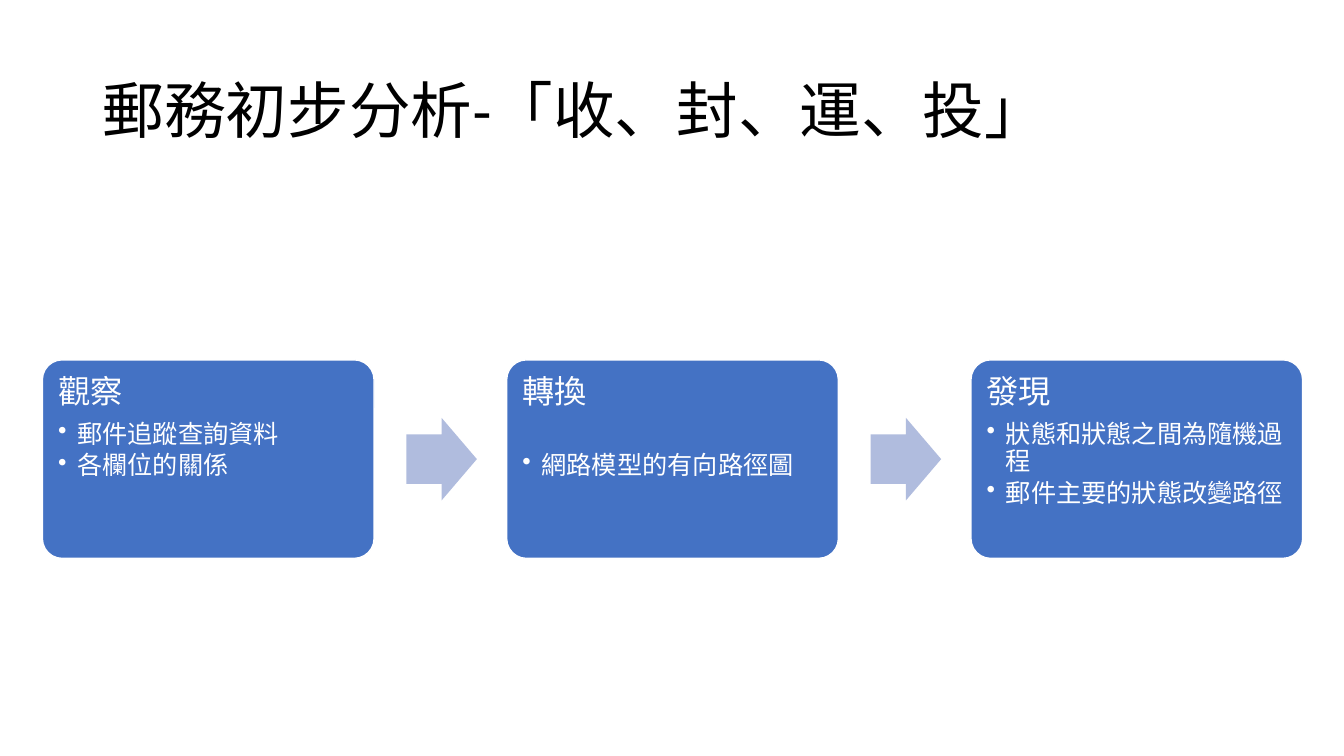
from lxml import etree
from pptx import Presentation
from pptx.dml.color import RGBColor
from pptx.enum import shapes, text
from pptx.oxml.ns import qn
from pptx.util import Inches, Pt

# Content
TITLE = "郵務初步分析-「收、封、運、投」"
STEPS = [  # heading, bullets, points between heading and bullets
    ("觀察", ["郵件追蹤查詢資料", "各欄位的關係"], 8),
    ("轉換", ["網路模型的有向路徑圖"], 30),
    ("發現", ["狀態和狀態之間為隨機過程", "郵件主要的狀態改變路徑"], 8),
]
COLORS = {"title": "000000", "card": "4472C4", "arrow": "B0BCDE", "white": "FFFFFF"}
FONT = "Calibri"

# Layout in inches
CARD_LEFT, CARD_TOP, CARD_W, CARD_H = 0.42, 3.57, 3.29, 1.97
STEP_PITCH = 4.605
ARROW_GAP, ARROW_W, ARROW_H = 0.32, 0.7, 0.82
INDENT = Inches(0.19)


def color(name):
    return RGBColor.from_string(COLORS[name])


def add_filled(kind, left, top, width, height, fill, adjustments):
    shape = slide.shapes.add_shape(
        kind, Inches(left), Inches(top), Inches(width), Inches(height))
    shape.shadow.inherit = False
    shape.fill.solid()
    shape.fill.fore_color.rgb = color(fill)
    shape.line.fill.background()
    for i, value in enumerate(adjustments):
        shape.adjustments[i] = value
    return shape


def write(paragraph, words, size, ink, space_after=0):
    paragraph.text = words
    paragraph.alignment = text.PP_ALIGN.LEFT
    paragraph.line_spacing = 0.9
    paragraph.space_after = Pt(space_after)
    for run in paragraph.runs:
        run.font.size = Pt(size)
        run.font.name = FONT
        run.font.color.rgb = color(ink)


def add_bullet(paragraph):
    props = paragraph._p.get_or_add_pPr()
    props.set("marL", str(INDENT))
    props.set("indent", str(-INDENT))
    etree.SubElement(props, qn("a:buChar")).set("char", "•")


prs = Presentation()
prs.slide_width, prs.slide_height = Inches(13.33), Inches(7.5)
slide = prs.slides.add_slide(prs.slide_layouts[6])

# Title
title = slide.shapes.add_textbox(
    Inches(0.92), Inches(0.4), Inches(11.5), Inches(1.45)).text_frame
title.word_wrap = True
title.vertical_anchor = text.MSO_ANCHOR.MIDDLE
write(title.paragraphs[0], TITLE, 44, "title")

# Step cards, with an arrow after each but the last
for i, (heading, bullets, gap) in enumerate(STEPS):
    left = CARD_LEFT + i * STEP_PITCH
    card = add_filled(shapes.MSO_SHAPE.ROUNDED_RECTANGLE, left, CARD_TOP,
                      CARD_W, CARD_H, "card", [0.1])
    card.line.color.rgb = color("white")
    card.line.width = Pt(1)

    frame = card.text_frame
    frame.word_wrap = True
    frame.vertical_anchor = text.MSO_ANCHOR.TOP
    frame.margin_left = frame.margin_right = Inches(0.1)
    frame.margin_top = frame.margin_bottom = Inches(0.1)
    write(frame.paragraphs[0], heading, 23, "white", gap)
    for bullet in bullets:
        paragraph = frame.add_paragraph()
        write(paragraph, bullet, 18, "white", 3)
        add_bullet(paragraph)

    if i < len(STEPS) - 1:
        add_filled(shapes.MSO_SHAPE.RIGHT_ARROW, left + CARD_W + ARROW_GAP,
                   CARD_TOP + (CARD_H - ARROW_H) / 2, ARROW_W, ARROW_H,
                   "arrow", [0.6, 0.5])

prs.save("out.pptx")
